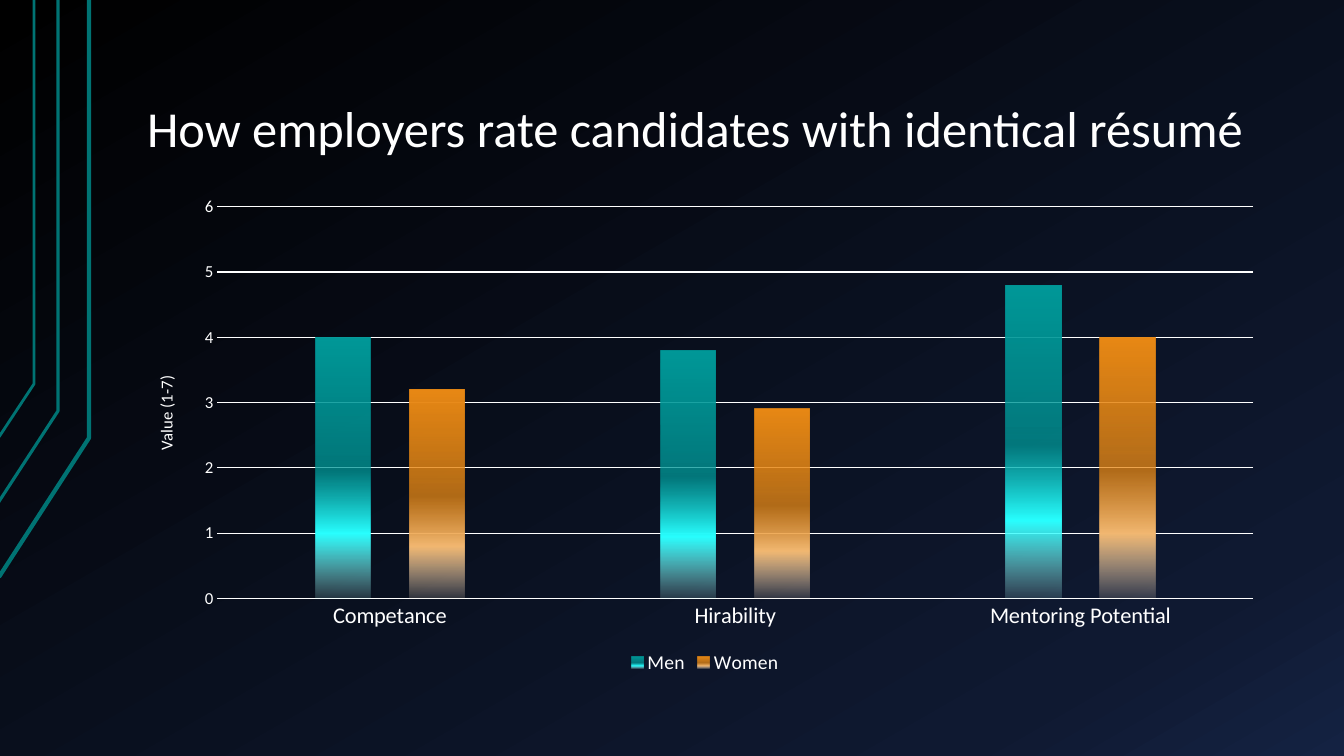
from lxml import etree
from pptx import Presentation
from pptx import util as u
from pptx.chart.data import CategoryChartData
from pptx.dml.color import RGBColor
from pptx.enum import chart as ch, text
from pptx.oxml import ns

PX = 914400 / 100.8
FONT = "Calibri"
COLORS = {"white": "FFFFFF", "trace": "007373"}
BACKDROP = [(0, "000000", 100), (85, "0F1931", 100), (100, "142242", 100)]
RATINGS = {
    "Men": ((4, 3.8, 4.8), ("009999", "29FFFF", "B8FFFF")),
    "Women": ((3.2, 2.9, 4), ("E98915", "F2B872", "FBE7D0")),
}


def px(n):
    return round(n * PX)


def rgb(name):
    return RGBColor.from_string(COLORS[name])


def style_font(font, size):
    font.name = FONT
    font.size = u.Pt(size)
    font.bold = False
    font.color.rgb = rgb("white")


def paint_gradient(fill, owner, holder, stops, angle):
    fill.solid()
    solid = owner.xpath(f"{holder}/a:solidFill")[0]
    gradient = etree.Element(ns.qn("a:gradFill"), rotWithShape="1")
    stop_list = etree.SubElement(gradient, ns.qn("a:gsLst"))
    for position, color, alpha in stops:
        stop = etree.SubElement(stop_list, ns.qn("a:gs"), pos=str(position * 1000))
        tint = etree.SubElement(stop, ns.qn("a:srgbClr"), val=color)
        if alpha < 100:
            etree.SubElement(tint, ns.qn("a:alpha"), val=str(alpha * 1000))
    etree.SubElement(gradient, ns.qn("a:lin"), ang=str(angle * 60000), scaled="0")
    solid.getparent().replace(solid, gradient)


def add_traces(slide):
    traces = [(-1, 577, 89, 438, 3), (-2, 503, 58, 411, 2.25), (-1, 437, 34, 384, 2)]
    for start, bottom, right, bend, weight in traces:
        builder = slide.shapes.build_freeform(px(start), px(bottom))
        builder.add_line_segments(
            [(px(right), px(bend)), (px(right), 0)], close=False)
        trace = builder.convert_to_shape()
        trace.shadow.inherit = False
        trace.fill.background()
        trace.line.color.rgb = rgb("trace")
        trace.line.width = u.Pt(weight)


def add_heading(slide, left, top, width, height):
    heading = slide.shapes.title
    heading.left, heading.top = px(left), px(top)
    heading.width, heading.height = px(width), px(height)
    frame = heading.text_frame
    frame.text = "How employers rate candidates with identical résumé"
    frame.word_wrap = True
    frame.auto_size = text.MSO_AUTO_SIZE.NONE
    frame.vertical_anchor = text.MSO_ANCHOR.BOTTOM
    frame.margin_left = frame.margin_right = px(13)
    frame.margin_top = frame.margin_bottom = px(7)
    line = frame.paragraphs[0]
    line.alignment = text.PP_ALIGN.LEFT
    line.line_spacing = 0.9
    style_font(line.runs[0].font, 36)


def style_axes(chart):
    criteria, score = chart.category_axis, chart.value_axis
    for axis, size in ((criteria, 16), (score, 12)):
        axis.major_tick_mark = axis.minor_tick_mark = ch.XL_TICK_MARK.NONE
        style_font(axis.tick_labels.font, size)
    score.minimum_scale, score.maximum_scale, score.major_unit = 0, 6, 1
    score.has_major_gridlines = True
    score.format.line.fill.background()
    for line in (criteria.format.line, score.major_gridlines.format.line):
        line.color.rgb = rgb("white")
        line.width = u.Pt(0.75)
    caption = score.axis_title.text_frame
    caption.text = "Value (1-7)"
    style_font(caption.paragraphs[0].runs[0].font, 12)
    body = caption._txBody.bodyPr
    body.set("rot", "-5400000")
    body.set("vert", "horz")


def add_ratings(slide, left, top, width, height):
    data = CategoryChartData()
    data.categories = ["Competance", "Hirability", "Mentoring Potential"]
    for group, (scores, _) in RATINGS.items():
        data.add_series(group, scores)
    chart = slide.shapes.add_chart(
        ch.XL_CHART_TYPE.COLUMN_CLUSTERED,
        px(left), px(top), px(width), px(height), data).chart
    style_font(chart.font, 10)
    chart.has_title = False
    chart.has_legend = True
    chart.legend.position = ch.XL_LEGEND_POSITION.BOTTOM
    chart.legend.include_in_layout = False
    style_font(chart.legend.font, 14)
    style_axes(chart)
    columns = chart.plots[0]
    columns.gap_width, columns.overlap, columns.vary_by_categories = 355, -70, False
    for series in columns.series:
        base, glow, fade = RATINGS[series.name][1]
        stops = [(0, base, 100), (51, base, 75), (75, glow, 100), (100, fade, 15)]
        series.invert_if_negative = False
        paint_gradient(series.format.fill, series._element, "c:spPr", stops, 90)


def main():
    deck = Presentation()
    deck.slide_width, deck.slide_height = px(1344), px(756)
    slide = deck.slides.add_slide(deck.slide_layouts[5])
    paint_gradient(slide.background.fill, slide.element, ".//p:bgPr", BACKDROP, 60)
    add_traces(slide)
    add_heading(slide, 134, 30, 1142, 135)
    add_ratings(slide, 134, 187, 1142, 492)
    deck.save("out.pptx")


if __name__ == "__main__":
    main()
